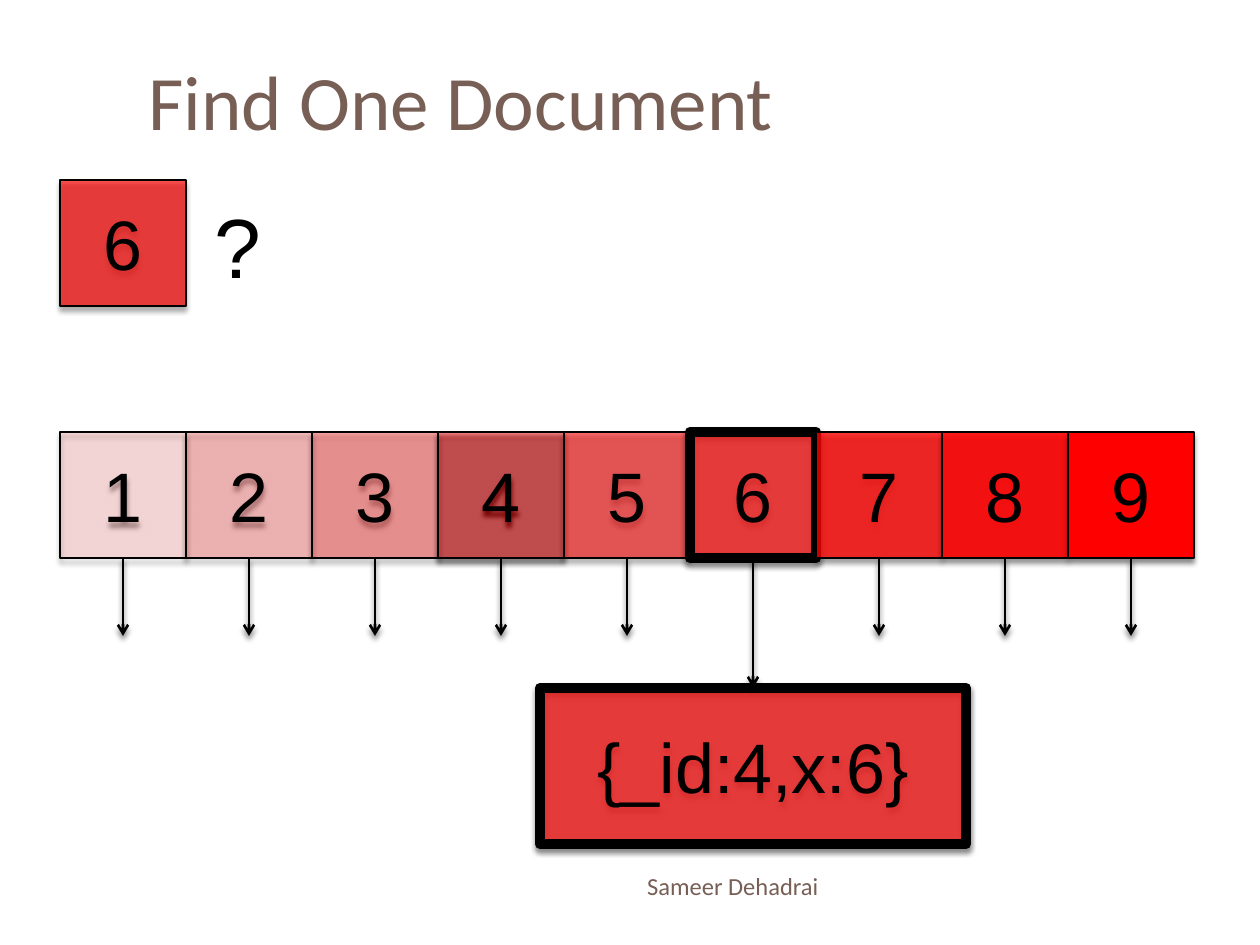
from lxml.etree import SubElement
from pptx import Presentation
from pptx.dml.color import RGBColor
from pptx.enum.shapes import MSO_CONNECTOR as CONN, MSO_SHAPE as SHAPE
from pptx.enum.text import MSO_ANCHOR as ANCHOR, PP_ALIGN as ALIGN
from pptx.oxml.ns import qn
from pptx.util import Emu, Pt

COLORS = {"text": "000000", "heading": "775F55", "key": "FF0000", "line": "000000"}
CELL = 126
ARROW = 78
THIN, THICK = 0.79, 6
FOUND = 6


def px(n):
    """Turn pixels, 126 to the inch, into EMU."""
    return Emu(round(n * 914400 / 126))


def rgb(name):
    """Look up a named colour."""
    return RGBColor.from_string(COLORS[name])


def set_alpha(fill_xml, percent):
    """Set the opacity of a colour element."""
    SubElement(fill_xml, qn("a:alpha")).set("val", str(percent * 1000))


def add_shadow(s):
    """Give a shape or connector a soft shadow falling straight down."""
    effects = SubElement(s._element.spPr, qn("a:effectLst"))
    shadow = SubElement(effects, qn("a:outerShdw"), blurRad=str(Pt(3)),
                        dist=str(Pt(2.4)), dir="5400000", rotWithShape="0")
    set_alpha(SubElement(shadow, qn("a:srgbClr"), val=COLORS["line"]), 45)


def write(tf, text, size, font="Arial", color="text", align=ALIGN.LEFT,
          anchor=ANCHOR.MIDDLE, wrap=True):
    """Write one line of styled text into a text frame."""
    tf.word_wrap = wrap
    tf.vertical_anchor = anchor
    p = tf.paragraphs[0]
    p.alignment = align
    r = p.add_run()
    r.text = text
    r.font.size = Pt(size)
    r.font.name = font
    r.font.color.rgb = rgb(color)


def add_label(slide, x, y, w, h, text, size, **style):
    """Place a text box."""
    write(slide.shapes.add_textbox(px(x), px(y), px(w), px(h)).text_frame, text, size, **style)


def add_block(slide, x, y, w, h, text, opacity, weight=THIN):
    """Place a red outlined block with centred text."""
    s = slide.shapes.add_shape(SHAPE.RECTANGLE, px(x), px(y), px(w), px(h))
    s.fill.solid()
    s.fill.fore_color.rgb = rgb("key")
    if opacity < 100:
        set_alpha(s._element.spPr.find(".//" + qn("a:srgbClr")), opacity)
    s.line.color.rgb = rgb("line")
    s.line.width = Pt(weight)
    add_shadow(s)
    write(s.text_frame, text, 40, align=ALIGN.CENTER)
    return s


def add_arrow(slide, block, x, y):
    """Drop an arrow from the bottom middle of a block."""
    c = slide.shapes.add_connector(CONN.STRAIGHT, px(x), px(y), px(x), px(y + ARROW))
    c.begin_connect(block, 2)
    c.line.color.rgb = rgb("line")
    c.line.width = Pt(1.5)
    SubElement(c.line._get_or_add_ln(), qn("a:tailEnd"), type="arrow")
    add_shadow(c)
    return c


def opacity_of(key):
    """Grow from 12 percent in steps of 11 up to solid."""
    return 100 if key == 9 else 1 + 11 * key


def add_query(slide, x, y):
    """Place the key being searched for and its question mark."""
    add_block(slide, x, y, CELL, CELL, str(FOUND), opacity_of(FOUND))
    add_label(slide, x + 142, y + 8, 73, 115, "?", 48, anchor=ANCHOR.TOP, wrap=False)


def add_index(slide, x, y):
    """Place the row of keys with their arrows and the document found."""
    keys = range(1, 10)
    cells = {k: add_block(slide, x + (k - 1) * CELL, y, CELL, CELL, str(k),
                          opacity_of(k), THICK if k == FOUND else THIN) for k in keys}
    arrows = {k: add_arrow(slide, cells[k], x + (k - 1) * CELL + CELL // 2, y + CELL)
              for k in keys}
    doc = add_block(slide, x + 480, y + 256, 426, 156, "{_id:4,x:6}",
                    opacity_of(FOUND), THICK)
    arrows[FOUND].end_connect(doc, 0)


def main():
    """Build the slide and save it."""
    prs = Presentation()
    prs.slide_width, prs.slide_height = px(1260), px(945)
    slide = prs.slides.add_slide(prs.slide_layouts[6])
    add_label(slide, 136, 32, 1124, 136, "Find One Document", 44,
              font="Calibri", color="heading")
    add_query(slide, 60, 180)
    add_index(slide, 60, 432)
    add_label(slide, 84, 861, 747, 50, "Sameer Dehadrai", 14,
              font="Calibri", color="heading", align=ALIGN.RIGHT)
    prs.save("out.pptx")


if __name__ == "__main__":
    main()
